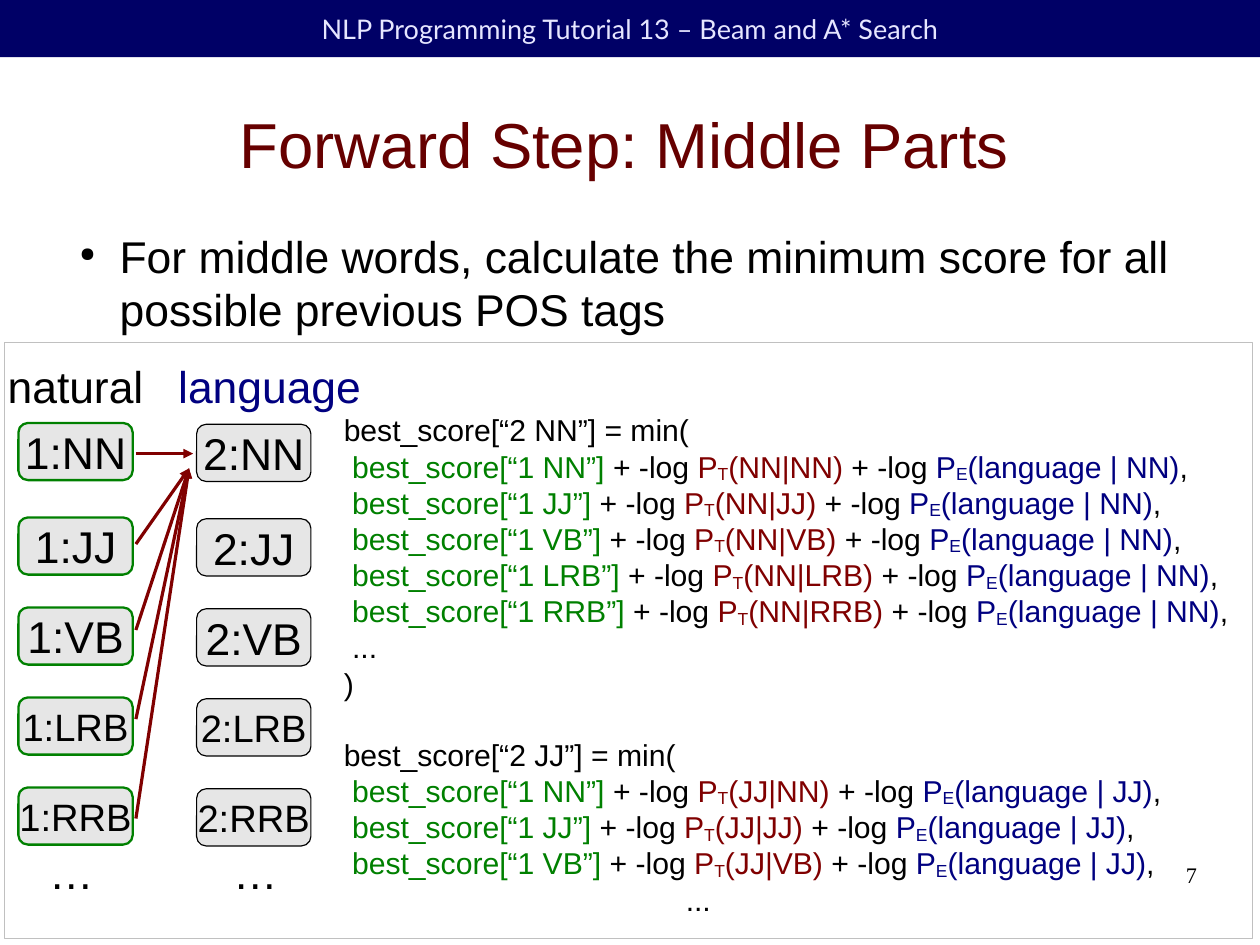
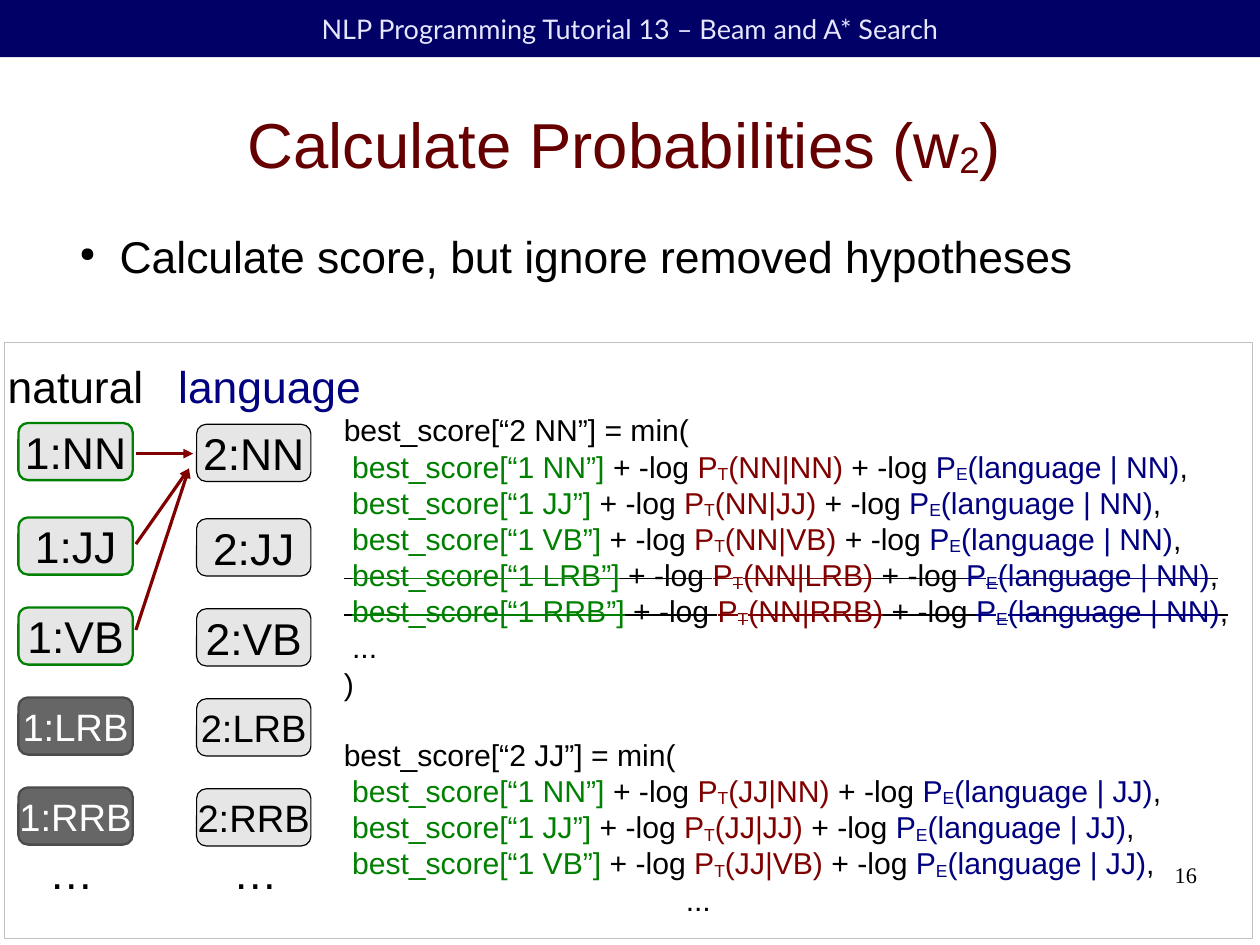
from dataclasses import dataclass

from lxml import etree
from pptx import Presentation
from pptx.dml.color import RGBColor
from pptx.enum.shapes import MSO_CONNECTOR as Connector, MSO_SHAPE as Preset
from pptx.enum.text import MSO_ANCHOR as Anchor, MSO_AUTO_SIZE as AutoSize, PP_ALIGN as Align
from pptx.oxml.ns import qn
from pptx.util import Cm, Pt


@dataclass(frozen=True)
class Theme:
    """Colours, fonts and type sizes shared by the slides."""
    band: str = "000066"
    band_text: str = "E6E6FF"
    title: str = "660000"
    text: str = "000000"
    previous: str = "008000"
    transition: str = "800000"
    emission: str = "000080"
    node: str = "E6E6E6"
    removed: str = "666666"
    removed_line: str = "4C4C4C"
    removed_text: str = "FFFFFF"
    frame: str = "C0C0C0"
    font: str = "Arial"
    band_font: str = "Lato"
    number_font: str = "Times New Roman"
    title_size: float = 40
    body_size: float = 28
    small_node_size: float = 24
    code_size: float = 19
    band_size: float = 17
    number_size: float = 14


@dataclass(frozen=True)
class Row:
    """One tag of the lattice: node top, arrow start and label size."""
    tag: str
    top: float
    arrow_start: float
    size: float


THEME = Theme()
ROWS = (
    Row("NN", 9.4, 10.08, THEME.body_size),
    Row("JJ", 11.5, 12.09, THEME.body_size),
    Row("VB", 13.5, 14, THEME.body_size),
    Row("LRB", 15.5, 15.98, THEME.small_node_size),
    Row("RRB", 17.5, 18.19, THEME.small_node_size),
)
TAGS = [row.tag for row in ROWS]
NODE_WIDTH, NODE_HEIGHT = 2.54, 1.27
FIRST_COLUMN, SECOND_COLUMN = 0.41, 4.37


def rgb(color):
    """Turn a hex string into a colour."""
    return RGBColor.from_string(color)


def add_run(paragraph, text, size=THEME.body_size, color=THEME.text, font=THEME.font,
            subscript=False, strike=False):
    """Append formatted text to a paragraph."""
    run = paragraph.add_run()
    run.text = text
    run.font.size, run.font.name = Pt(size), font
    run.font.color.rgb = rgb(color)
    properties = run.font._element
    if subscript:
        properties.set("baseline", "-8000")
    if strike:
        properties.set("strike", "sngStrike")


def set_frame(frame, margins=(0.25, 0.13), anchor=Anchor.TOP, wrap=True):
    """Set the insets, anchor and wrapping of a text frame."""
    frame.auto_size = AutoSize.NONE
    frame.word_wrap = wrap
    frame.vertical_anchor = anchor
    frame.margin_left = frame.margin_right = Cm(margins[0])
    frame.margin_top = frame.margin_bottom = Cm(margins[1])


def add_text(slide, text, left, top, width, height, align=Align.LEFT,
             margins=(0.25, 0.13), **text_format):
    """Add a one-paragraph text box and return its paragraph."""
    box = slide.shapes.add_textbox(Cm(left), Cm(top), Cm(width), Cm(height))
    set_frame(box.text_frame, margins)
    paragraph = box.text_frame.paragraphs[0]
    paragraph.alignment = align
    add_run(paragraph, text, **text_format)
    return paragraph


def add_box(slide, preset, left, top, width, height, fill=None, line=None, line_width=0):
    """Add a preset shape without shadow."""
    shape = slide.shapes.add_shape(preset, Cm(left), Cm(top), Cm(width), Cm(height))
    shape.shadow.inherit = False
    if fill:
        shape.fill.solid()
        shape.fill.fore_color.rgb = rgb(fill)
    else:
        shape.fill.background()
    if line:
        shape.line.color.rgb = rgb(line)
        shape.line.width = Pt(line_width)
    else:
        shape.line.fill.background()
    return shape


def label_box(shape, text, wrap=True, **text_format):
    """Write centred text in a shape."""
    set_frame(shape.text_frame, anchor=Anchor.MIDDLE, wrap=wrap)
    paragraph = shape.text_frame.paragraphs[0]
    paragraph.alignment = Align.CENTER
    add_run(paragraph, text, **text_format)


def add_band(slide):
    """Add the band with the tutorial name."""
    band = add_box(slide, Preset.RECTANGLE, 0, 0, 28, 1.27, fill=THEME.band)
    label_box(band, "NLP Programming Tutorial 13 – Beam and A* Search",
              size=THEME.band_size, color=THEME.band_text, font=THEME.band_font)


def set_title(slide, parts):
    """Place the title and write its (text, subscript) parts."""
    title = slide.shapes.title
    title.left, title.top, title.width, title.height = Cm(1.27), Cm(1.57), Cm(25.2), Cm(3.23)
    set_frame(title.text_frame, (0, 0), Anchor.MIDDLE)
    paragraph = title.text_frame.paragraphs[0]
    paragraph.alignment = Align.CENTER
    for text, subscript in parts:
        add_run(paragraph, text, size=THEME.title_size, color=THEME.title, subscript=subscript)


def add_bullet(slide, text):
    """Add the bulleted statement under the title."""
    paragraph = add_text(slide, text, 1.47, 5.08, 25.2, 2.5, margins=(0, 0))
    properties = paragraph._p.get_or_add_pPr()
    properties.set("marL", str(Cm(1.19)))
    properties.set("indent", str(Cm(-0.89)))
    color = etree.SubElement(properties, qn("a:buClr"))
    etree.SubElement(color, qn("a:srgbClr"), val=THEME.text)
    etree.SubElement(properties, qn("a:buSzPct"), val="45000")
    etree.SubElement(properties, qn("a:buChar"), char="●")


def add_node(slide, row, position, removed=False):
    """Add the lattice node of a tag at word position 1 or 2."""
    first = position == 1
    fill = THEME.removed if removed else THEME.node
    line = THEME.removed_line if removed else THEME.previous if first else THEME.text
    node = add_box(slide, Preset.ROUNDED_RECTANGLE, FIRST_COLUMN if first else SECOND_COLUMN,
                   row.top if first else row.top + 0.03, NODE_WIDTH, NODE_HEIGHT,
                   fill, line, 1.45 if first else 0)
    label_box(node, f"{position}:{row.tag}", wrap=False, size=row.size,
              color=THEME.removed_text if removed else THEME.text)


def add_arrow(slide, start, end):
    """Add a hairline arrow between two points."""
    arrow = slide.shapes.add_connector(Connector.STRAIGHT, *map(Cm, start + end))
    arrow.line.color.rgb = rgb(THEME.transition)
    arrow.line.width = Pt(0)
    etree.SubElement(arrow.line._get_or_add_ln(), qn("a:tailEnd"), type="triangle")
    etree.SubElement(arrow._element.spPr, qn("a:effectLst"))


def add_lattice(slide, removed):
    """Add both columns of nodes and the arrows from kept hypotheses."""
    for row in ROWS:
        add_node(slide, row, 1, row.tag in removed)
        add_node(slide, row, 2)
        if row.tag not in removed:
            end = (4.29, 10.08) if row is ROWS[0] else (4.2, 10.41)
            add_arrow(slide, (3.02, row.arrow_start), end)
    add_text(slide, "natural", -0.08, 7.85, 3.8, 1.35)
    add_text(slide, "language", 3.71, 7.85, 4.8, 1.35, color=THEME.emission)
    for left in (0.84, 4.93):
        add_text(slide, "…", left, 18.65, 1.5, 1.35)


def add_term(paragraph, tag, previous, strike):
    """Write one candidate of the minimum."""
    parts = (
        (" ", THEME.text, False),
        (f"best_score[“1 {previous}”]", THEME.previous, False),
        (" + -log ", THEME.text, False),
        ("P", THEME.transition, False),
        ("T", THEME.transition, True),
        (f"({tag}|{previous})", THEME.transition, False),
        (" + -log ", THEME.text, False),
        ("P", THEME.emission, False),
        ("E", THEME.emission, True),
        (f"(language | {tag})", THEME.emission, False),
        (",", THEME.text, False),
    )
    for text, color, subscript in parts:
        add_run(paragraph, text, size=THEME.code_size, color=color,
                subscript=subscript, strike=strike)


def add_minimum(slide, tag, previous_tags, top, height, ending, removed=()):
    """Add the formula for one tag; ending holds (text, indent) lines."""
    first = add_text(slide, f"best_score[“2 {tag}”] = min(", 7.39, top, 20.5, height,
                     size=THEME.code_size)
    frame = first._parent
    for previous in previous_tags:
        add_term(frame.add_paragraph(), tag, previous, previous in removed)
    for text, indent in ending:
        paragraph = frame.add_paragraph()
        paragraph._p.get_or_add_pPr().set("marL", str(Cm(indent)))
        add_run(paragraph, text, size=THEME.code_size)


def add_slide(presentation, title, statement, number, removed=()):
    """Add one slide of the forward step."""
    slide = presentation.slides.add_slide(presentation.slide_layouts[5])
    add_band(slide)
    set_title(slide, title)
    add_bullet(slide, statement)
    add_box(slide, Preset.RECTANGLE, 0.1, 7.62, 27.74, 13.23, line=THEME.frame)
    add_lattice(slide, removed)
    add_minimum(slide, "NN", TAGS, 9.02, 7.3, [(" ...", 0), (")", 0)], removed)
    add_minimum(slide, "JJ", TAGS[:3], 16.23, 4.65, [("...", 7.6)])
    add_text(slide, number, 20.07, 19.13, 6.53, 1.45, Align.RIGHT, (0, 0),
             size=THEME.number_size, font=THEME.number_font)


def main():
    """Build and save the presentation."""
    presentation = Presentation()
    presentation.slide_width, presentation.slide_height = Cm(28), Cm(21)
    add_slide(presentation, [("Forward Step: Middle Parts", False)],
              "For middle words, calculate the minimum score for all possible previous POS tags",
              "7")
    add_slide(presentation,
              [("Calculate Probabilities (w", False), ("2", True), (")", False)],
              "Calculate score, but ignore removed hypotheses", "16", removed=("LRB", "RRB"))
    presentation.save("out.pptx")


if __name__ == "__main__":
    main()
